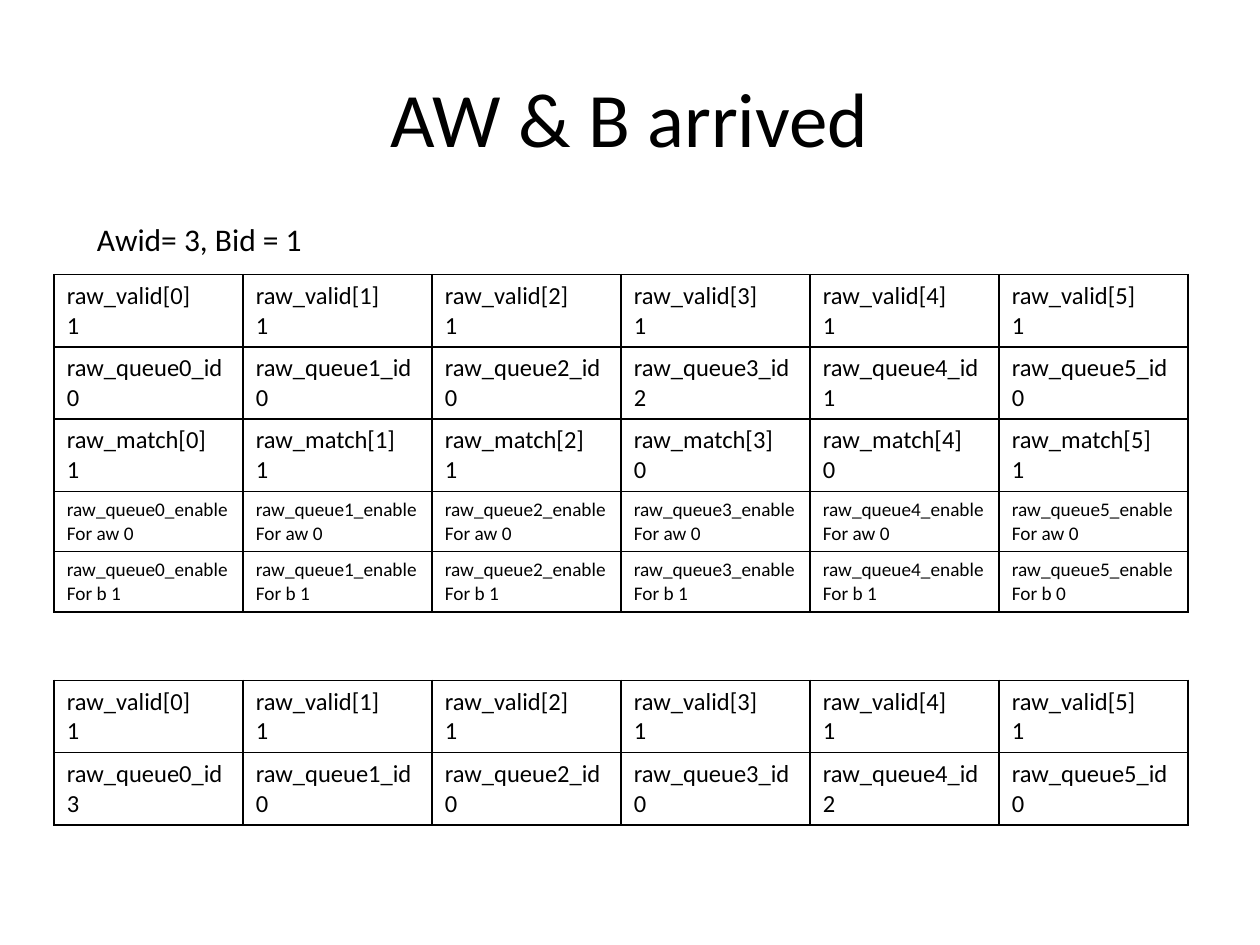
import pptx
import pptx.util
import pptx.dml.color
import pptx.enum.text
import pptx.oxml
import pptx.oxml.ns

Inches = pptx.util.Inches


def rgb(value):
    return pptx.dml.color.RGBColor.from_string(value)


def write(p, text, size):
    p.text = text
    for name, value in {"name": "Calibri", "size": pptx.util.Pt(size), "bold": False}.items():
        setattr(p.font, name, value)
    p.font.color.rgb = rgb("000000")


prs = pptx.Presentation()
prs.slide_width, prs.slide_height = Inches(10), Inches(7.5)
s = prs.slides.add_slide(prs.slide_layouts[5])

title = s.shapes.title
title.left, title.top, title.width, title.height = Inches(0.5), Inches(0.3), Inches(9), Inches(1.25)
title.text_frame.vertical_anchor = pptx.enum.text.MSO_ANCHOR.MIDDLE
write(title.text_frame.paragraphs[0], "AW & B arrived", 44)
title.text_frame.paragraphs[0].alignment = pptx.enum.text.PP_ALIGN.CENTER

COLS = 6
tables = [
    (2.18, 2.63, [
        ("raw_valid[{}]", "", "111111", 14),
        ("raw_queue{}_id", "", "000210", 14),
        ("raw_match[{}]", "", "111001", 14),
        ("raw_queue{}_enable", "For aw ", "000000", 11),
        ("raw_queue{}_enable", "For b ", "111110", 11),
    ]),
    (5.4, 1.13, [
        ("raw_valid[{}]", "", "111111", 14),
        ("raw_queue{}_id", "", "300020", 14),
    ]),
]
for top, height, rows in tables:
    frame = s.shapes.add_table(len(rows), COLS, Inches(0.43), Inches(top), Inches(9), Inches(height))
    table = frame.table
    table.first_row = table.horz_banding = False
    for i, (signal, prefix, values, size) in enumerate(rows):
        table.rows[i].height = Inches(0.41)
        for j, value in enumerate(values):
            cell = table.cell(i, j)
            tf = cell.text_frame
            write(tf.paragraphs[0], signal.format(j), size)
            write(tf.add_paragraph(), prefix + value, size)
            tcPr = cell._tc.get_or_add_tcPr()
            for side in "LRTB":
                tcPr.append(pptx.oxml.parse_xml(
                    f'<a:ln{side} {pptx.oxml.ns.nsdecls("a")} w="12700"><a:solidFill>'
                    f'<a:srgbClr val="000000"/></a:solidFill></a:ln{side}>'))
            cell.fill.background()
    frame.height = Inches(height)

label = s.shapes.add_textbox(Inches(0.67), Inches(1.7), Inches(1.85), Inches(0.4))
label.text_frame.word_wrap = False
label.text_frame.auto_size = pptx.enum.text.MSO_AUTO_SIZE.SHAPE_TO_FIT_TEXT
write(label.text_frame.paragraphs[0], "Awid= 3, Bid = 1", 18)

prs.save("out.pptx")
